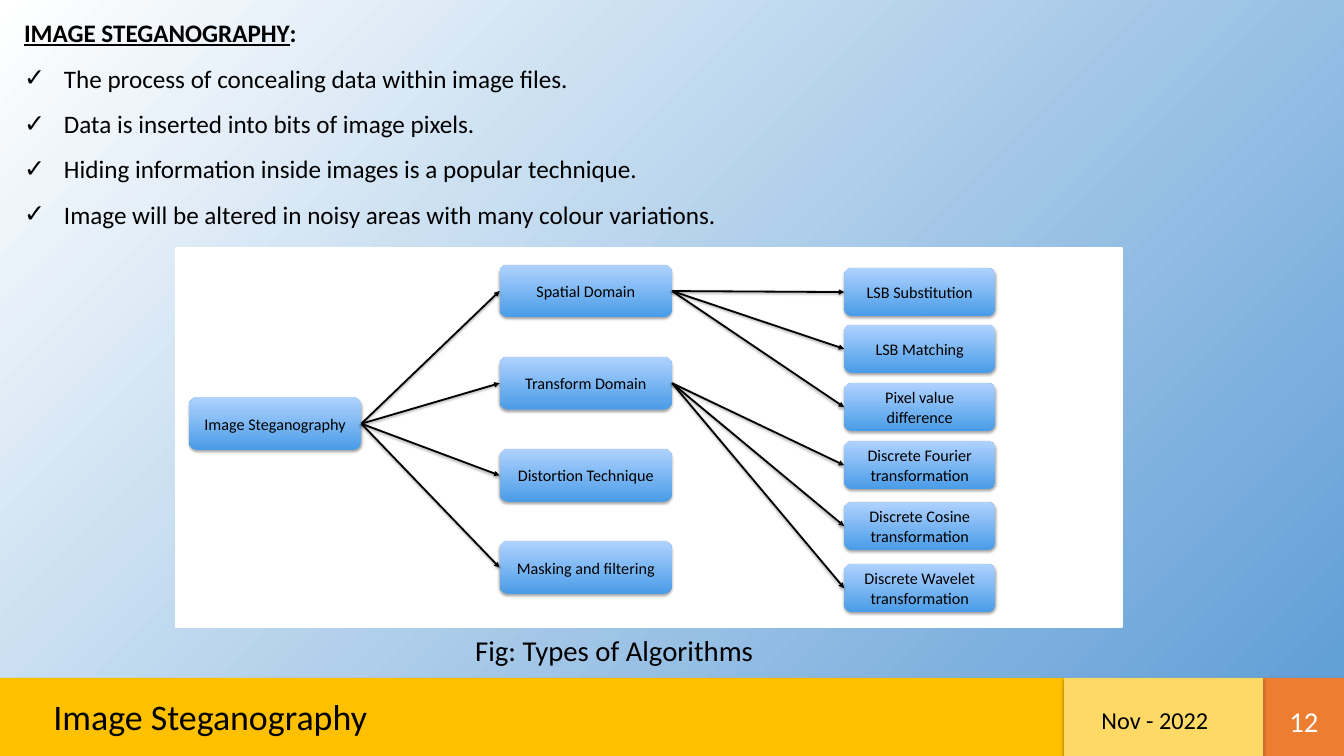
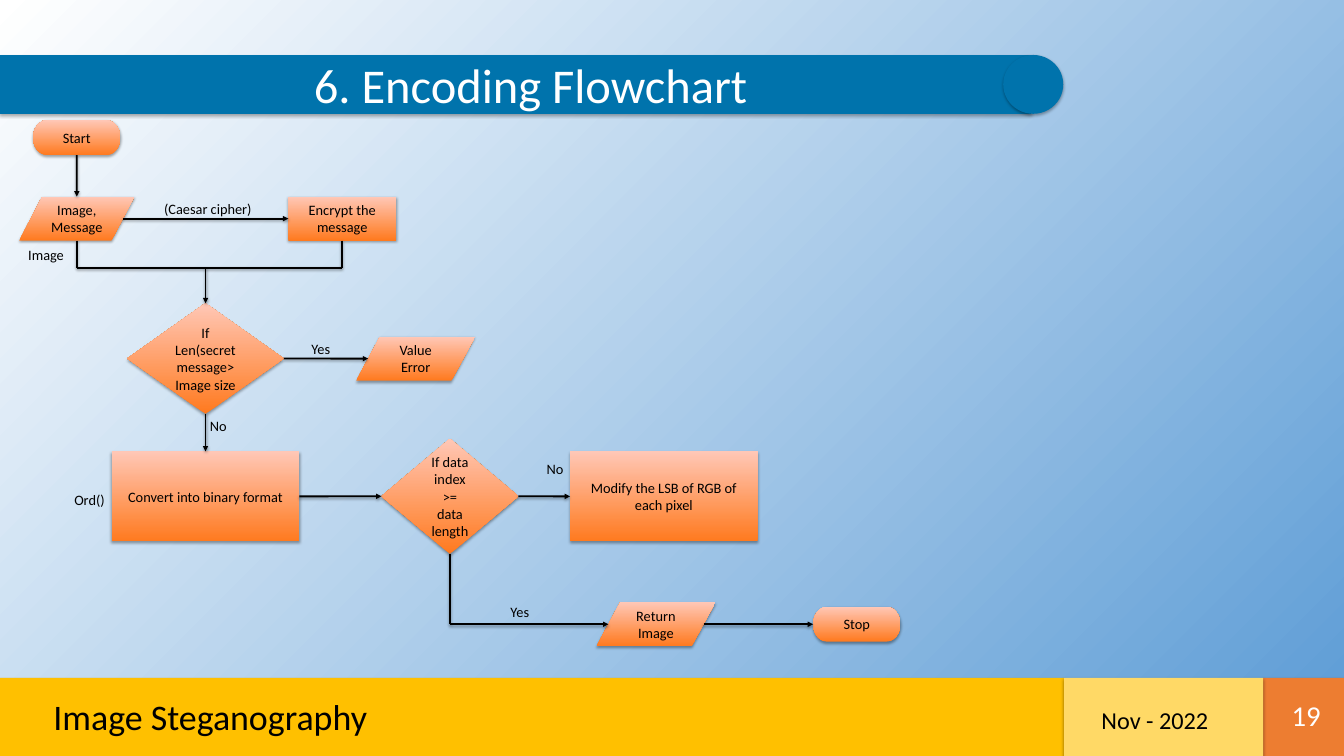
from lxml.etree import SubElement
from pptx import Presentation
from pptx.dml.color import RGBColor
from pptx.enum.shapes import MSO_CONNECTOR, MSO_SHAPE
from pptx.enum.text import MSO_ANCHOR, MSO_AUTO_SIZE, PP_ALIGN
from pptx.oxml.ns import qn
from pptx.util import Cm, Pt

FONT = "Calibri"
BLACK, WHITE = "000000", "FFFFFF"
SKY, TITLE_BLUE = "5B9BD5", "0073AC"
AMBER, PALE_AMBER, ORANGE = "FFC000", "FFD966", "ED7D31"
BLUE_NODE = ("499CE7", "B0D2FF")
ORANGE_NODE = ("FF7A1F", "FFC7B6")
# Shadows: opacity in percent, blur and distance in points
BAND_SHADOW, NODE_SHADOW, LINE_SHADOW = (32, 3.5, 2.2), (35, 3.1, 1.8), (38, 3.1, 1.6)

WIDTH, HEIGHT = 52.81, 29.69
FOOTER_TOP = 26.62
SITES = {"top": 0, "left": 1, "bottom": 2, "right": 3}

TERMINATOR = MSO_SHAPE.FLOWCHART_TERMINATOR
DATA = MSO_SHAPE.FLOWCHART_DATA
PROCESS = MSO_SHAPE.FLOWCHART_PROCESS
DECISION = MSO_SHAPE.FLOWCHART_DECISION


def rgb(color):
    return RGBColor.from_string(color)


def place(shape, left, top, width, height):
    shape.left, shape.top = Cm(left), Cm(top)
    shape.width, shape.height = Cm(width), Cm(height)


def format_run(run, size, color, bold=False, underline=False):
    font = run.font
    font.name, font.size, font.color.rgb = FONT, Pt(size), rgb(color)
    font.bold, font.underline = bold, underline


def write(shape, text, size=16, color=BLACK, align=PP_ALIGN.LEFT,
          anchor=MSO_ANCHOR.TOP, spacing=1.0, bold=False, underline=False):
    """Fill a shape with text; each line becomes a paragraph."""
    frame = shape.text_frame
    frame.text = text
    frame.word_wrap = True
    frame.auto_size = MSO_AUTO_SIZE.NONE
    frame.vertical_anchor = anchor
    for paragraph in frame.paragraphs:
        paragraph.alignment = align
        paragraph.line_spacing = spacing
        paragraph.space_before = Pt(0)
        for run in paragraph.runs:
            format_run(run, size, color, bold, underline)


def add_text(slide, text, box, **formatting):
    write(slide.shapes.add_textbox(*map(Cm, box)), text, **formatting)


def add_shadow(shape, opacity, blur, distance):
    """Add a downward shadow; call it after fill and line are set."""
    effects = SubElement(shape.element.find(qn("p:spPr")), qn("a:effectLst"))
    shadow = SubElement(effects, qn("a:outerShdw"), blurRad=str(Pt(blur)),
                        dist=str(Pt(distance)), dir="5400000", rotWithShape="0")
    color = SubElement(shadow, qn("a:srgbClr"), val=BLACK)
    SubElement(color, qn("a:alpha"), val=str(opacity * 1000))


def set_gradient(fill, start, end):
    fill.gradient()
    for stop, color in zip(fill.gradient_stops, (start, end)):
        stop.color.rgb = rgb(color)


def add_band(slide, color, box, kind=MSO_SHAPE.RECTANGLE):
    band = slide.shapes.add_shape(kind, *map(Cm, box))
    band.fill.solid()
    band.fill.fore_color.rgb = rgb(color)
    band.line.fill.background()
    add_shadow(band, *BAND_SHADOW)


def add_node(slide, text, box, colors, kind=MSO_SHAPE.ROUNDED_RECTANGLE, size=16):
    node = slide.shapes.add_shape(kind, *map(Cm, box))
    set_gradient(node.fill, *colors)
    node.fill.gradient_angle = 90
    node.line.fill.background()
    add_shadow(node, *NODE_SHADOW)
    write(node, text, size=size, align=PP_ALIGN.CENTER, anchor=MSO_ANCHOR.MIDDLE)
    return node


def add_line(slide, start, end, arrow=True):
    line = slide.shapes.add_connector(MSO_CONNECTOR.STRAIGHT, *start, *end)
    line.line.color.rgb = rgb(BLACK)
    line.line.width = Pt(2)
    if arrow:
        SubElement(line.element.find(".//" + qn("a:ln")), qn("a:tailEnd"), type="triangle")
    add_shadow(line, *LINE_SHADOW)
    return line


def edge(node, side):
    """Middle of one side; a parallelogram's slanted sides lie a tenth inward."""
    slant = node.width // 10 if node.auto_shape_type == DATA else 0
    center = node.left + node.width // 2
    middle = node.top + node.height // 2
    return {
        "top": (center, node.top),
        "left": (node.left + slant, middle),
        "bottom": (center, node.top + node.height),
        "right": (node.left + node.width - slant, middle),
    }[side]


def link(slide, source, target, leave="right", enter="left"):
    """Join two nodes by an arrow, glued wherever the node has four sites."""
    line = add_line(slide, edge(source, leave), edge(target, enter))
    if source.auto_shape_type != DATA:
        line.begin_connect(source, SITES[leave])
    if target.auto_shape_type != DATA:
        line.end_connect(target, SITES[enter])


def add_bullets(body, marker, indent):
    for paragraph in body.text_frame.paragraphs:
        properties = paragraph._p.get_or_add_pPr()
        properties.set("marL", str(Cm(indent)))
        properties.set("indent", str(-Cm(indent)))
        SubElement(properties, qn("a:buChar"), char=marker)


def set_background(master):
    """Shade every slide from its top left corner."""
    set_gradient(master.background.fill, WHITE, SKY)
    gradient = master.element.find(".//" + qn("p:bg")).find(".//" + qn("a:gradFill"))
    gradient.remove(gradient.find(qn("a:lin")))
    corner = SubElement(gradient, qn("a:path"), path="circle")
    SubElement(corner, qn("a:fillToRect"), r="100000", b="100000")


def add_footer(slide, number, number_box, number_align):
    for color, left, right in ((AMBER, 0, 41.81), (ORANGE, 49.63, WIDTH),
                               (PALE_AMBER, 41.81, 49.63)):
        add_band(slide, color, (left, FOOTER_TOP, right - left, HEIGHT - FOOTER_TOP))
    add_text(slide, "Image Steganography", (1.85, 27.15, 31.32, 1.96), size=40)
    add_text(slide, number, number_box, size=32, color=WHITE,
             align=number_align, anchor=MSO_ANCHOR.MIDDLE)
    add_text(slide, "Nov - 2022", (43.03, 27.58, 6.22, 1.42), size=27)


def build_algorithms_slide(presentation):
    slide = presentation.slides.add_slide(presentation.slide_layouts[1])
    add_footer(slide, "12", (49.99, 27.79, 2.49, 1.04), PP_ALIGN.CENTER)

    title, body = slide.placeholders
    place(title, 0.69, -0.05, 49.63, 1.81)
    write(title, "IMAGE STEGANOGRAPHY", size=28, spacing=1.5, bold=True, underline=True)
    colon = title.text_frame.paragraphs[0].add_run()
    colon.text = ":"
    format_run(colon, 28, BLACK, bold=True)

    place(body, 0.69, 1.76, 49.63, 7.4)
    write(body, "The process of concealing data within image files.\n"
                "Data is inserted into bits of image pixels.\n"
                "Hiding information inside images is a popular technique.\n"
                "Image will be altered in noisy areas with many colour variations.",
          size=28, spacing=1.5)
    add_bullets(body, "✓", 1.57)

    panel = slide.shapes.add_shape(MSO_SHAPE.RECTANGLE, *map(Cm, (6.91, 9.75, 37.19, 14.86)))
    panel.shadow.inherit = False
    panel.fill.solid()
    panel.fill.fore_color.rgb = rgb(WHITE)
    panel.line.color.rgb = rgb(WHITE)
    panel.line.width = Pt(2)

    root = add_node(slide, "Image Steganography", (7.42, 15.6, 6.78, 2.08), BLUE_NODE, size=18)
    domains = (
        ("Spatial Domain", (("LSB Substitution", 10.52), ("LSB Matching", 12.75),
                            ("Pixel value difference", 15.04))),
        ("Transform Domain", (("Discrete Fourier transformation", 17.32),
                              ("Discrete Cosine transformation", 19.71),
                              ("Discrete Wavelet transformation", 22.15))),
        ("Distortion Technique", ()),
        ("Masking and filtering", ()),
    )
    for row, (name, techniques) in enumerate(domains):
        domain = add_node(slide, name, (19.63, 10.39 + 3.62 * row, 6.78, 2.08),
                          BLUE_NODE, size=18)
        link(slide, root, domain)
        for technique, top in techniques:
            link(slide, domain, add_node(slide, technique, (33.17, top, 5.94, 1.9),
                                         BLUE_NODE, size=18))
    add_text(slide, "Fig: Types of Algorithms", (18.42, 24.71, 17.73, 1.63), size=32)


def build_flowchart_slide(presentation):
    slide = presentation.slides.add_slide(presentation.slide_layouts[5])
    title = slide.shapes.title
    place(title, 0, 2.16, 40.51, 2.31)
    title.fill.solid()
    title.fill.fore_color.rgb = rgb(TITLE_BLUE)
    add_shadow(title, *BAND_SHADOW)
    write(title, "6. Encoding Flowchart", size=54, color=WHITE, align=PP_ALIGN.CENTER)
    frame = title.text_frame
    frame.margin_left, frame.margin_right = Cm(1.2), 0
    frame.margin_top = frame.margin_bottom = 0
    add_band(slide, TITLE_BLUE, (39.42, 2.16, 2.36, 2.31), MSO_SHAPE.OVAL)
    add_footer(slide, "19", (50.32, 27.58, 1.83, 1.04), PP_ALIGN.RIGHT)

    steps = {
        "start": ("Start", TERMINATOR, (1.3, 4.72, 3.43, 1.37)),
        "input": ("Image, Message", DATA, (0.76, 7.72, 4.52, 1.73)),
        "encrypt": ("Encrypt the message", PROCESS, (11.33, 7.72, 4.24, 1.73)),
        "size": ("If Len(secret message>\nImage size", DECISION, (5, 11.91, 6.15, 4.34)),
        "error": ("Value Error", DATA, (14, 13.22, 4.67, 1.73)),
        "convert": ("Convert into binary format", PROCESS, (4.39, 17.73, 7.37, 3.53)),
        "index": ("If data index\n>=\ndata length", DECISION, (14.99, 17.23, 5.38, 4.52)),
        "modify": ("Modify the LSB of RGB of each pixel", PROCESS, (22.4, 17.73, 7.37, 3.53)),
        "return": ("Return Image", DATA, (23.44, 23.65, 4.67, 1.73)),
        "stop": ("Stop", TERMINATOR, (31.95, 23.83, 3.43, 1.37)),
    }
    nodes = {key: add_node(slide, text, box, ORANGE_NODE, kind)
             for key, (text, kind, box) in steps.items()}

    for source, target in (("input", "encrypt"), ("size", "error"), ("convert", "index"),
                           ("index", "modify"), ("return", "stop")):
        link(slide, nodes[source], nodes[target])
    for source, target in (("start", "input"), ("size", "convert")):
        link(slide, nodes[source], nodes[target], "bottom", "top")

    merge_y = Cm(10.52)
    exits = [edge(nodes[key], "bottom") for key in ("input", "encrypt")]
    corners = [(x, merge_y) for x, _ in exits]
    for start, end in (*zip(exits, corners), corners):
        add_line(slide, start, end, arrow=False)
    size_top = edge(nodes["size"], "top")
    add_line(slide, (size_top[0], merge_y), size_top)

    index_bottom, return_left = edge(nodes["index"], "bottom"), edge(nodes["return"], "left")
    turn = (index_bottom[0], return_left[1])
    add_line(slide, index_bottom, turn, arrow=False)
    add_line(slide, turn, return_left)

    for text, left, top, width in (
        ("(Caesar cipher)", 6.2, 7.72, 4.24), ("Image", 0.86, 9.55, 2.16),
        ("Yes", 11.99, 13.23, 1.5), ("No", 8, 16.26, 1.5), ("Ord()", 2.67, 19.18, 2.16),
        ("No", 21.23, 17.93, 1.5), ("Yes", 19.81, 23.55, 1.5),
    ):
        add_text(slide, text, (left, top, width, 0.94))


def main():
    presentation = Presentation()
    presentation.slide_width, presentation.slide_height = Cm(WIDTH), Cm(HEIGHT)
    set_background(presentation.slide_master)
    build_algorithms_slide(presentation)
    build_flowchart_slide(presentation)
    presentation.save("out.pptx")


if __name__ == "__main__":
    main()
